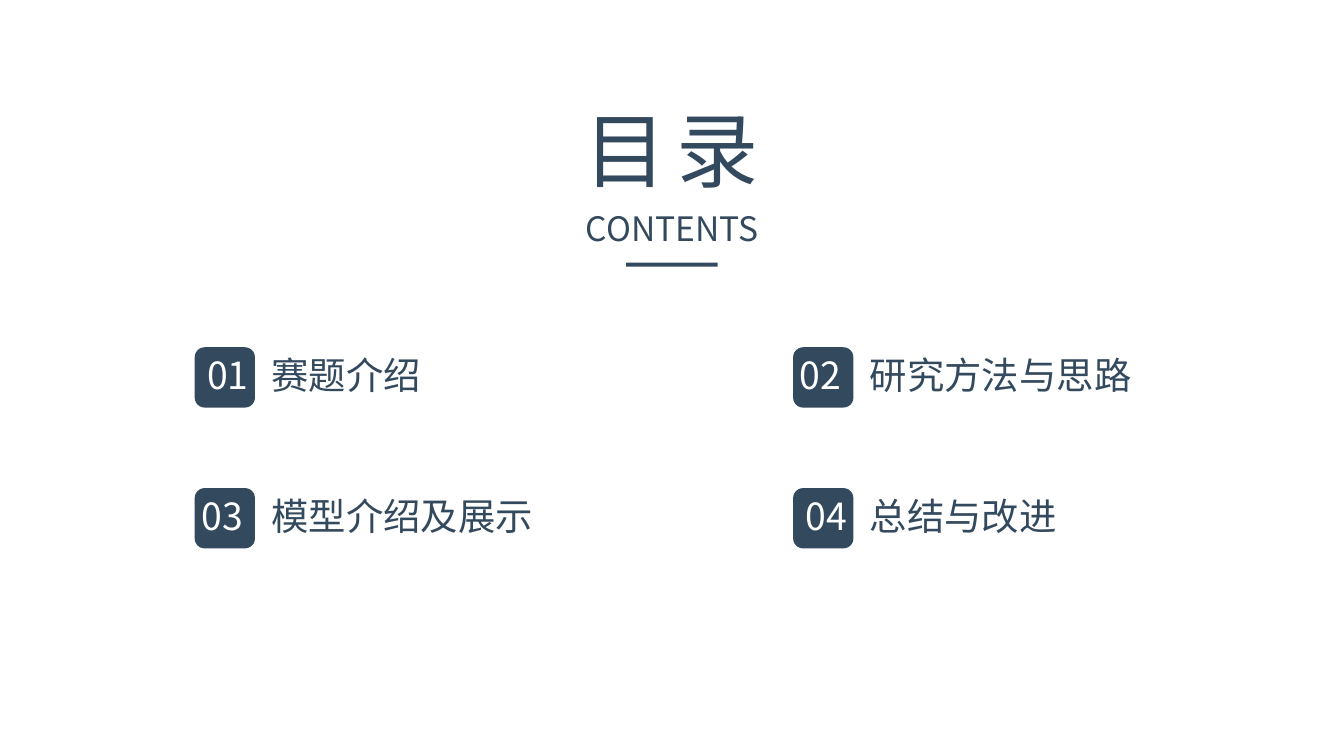
import dataclasses

import pptx
import pptx.dml.color
import pptx.enum.shapes
import pptx.enum.text
import pptx.oxml
import pptx.oxml.ns
import pptx.util

Cm = pptx.util.Cm
Pt = pptx.util.Pt
Align = pptx.enum.text.PP_ALIGN
Anchor = pptx.enum.text.MSO_ANCHOR
Preset = pptx.enum.shapes.MSO_SHAPE


@dataclasses.dataclass(frozen=True)
class Theme:
    font: str = "Noto Sans CJK SC"
    navy: str = "33495E"
    white: str = "FFFFFF"
    title_size: int = 44
    subtitle_size: int = 18
    item_size: int = 20
    line_spacing: float = 0.9
    title_tracking: float = -2.2


@dataclasses.dataclass(frozen=True)
class Box:
    """A rectangle measured in centimetres."""
    left: float
    top: float
    width: float
    height: float

    def emu(self):
        return Cm(self.left), Cm(self.top), Cm(self.width), Cm(self.height)


THEME = Theme()
TILE = 1.14
ITEMS = [
    ("01", "赛题介绍", Align.CENTER),
    ("02", "研究方法与思路", Align.LEFT),
    ("03", "模型介绍及展示", Align.LEFT),
    ("04", "总结与改进", Align.CENTER),
]


def rgb(value):
    return pptx.dml.color.RGBColor.from_string(value)


def write(shape, text, size, color, align=Align.LEFT, anchor=Anchor.MIDDLE, tracking=0):
    frame = shape.text_frame
    frame.auto_size = pptx.enum.text.MSO_AUTO_SIZE.NONE
    frame.word_wrap = True
    frame.vertical_anchor = anchor
    paragraph = frame.paragraphs[0]
    paragraph.alignment = align
    paragraph.line_spacing = THEME.line_spacing
    paragraph.space_before = Pt(0)
    run = paragraph.add_run()
    run.text = text
    run.font.size = Pt(size)
    run.font.color.rgb = rgb(color)
    run.font.name = THEME.font
    properties = run.font._element
    east_asian = pptx.oxml.parse_xml(
        f'<a:ea {pptx.oxml.ns.nsdecls("a")} typeface="{THEME.font}"/>')
    properties.find(pptx.oxml.ns.qn("a:latin")).addnext(east_asian)
    if tracking:
        properties.set("spc", str(round(tracking * 100)))


def add_text(slide, box, *content, **options):
    write(slide.shapes.add_textbox(*box.emu()), *content, **options)


def add_block(slide, preset, box):
    shape = slide.shapes.add_shape(preset, *box.emu())
    shape.shadow.inherit = False
    shape.fill.solid()
    shape.fill.fore_color.rgb = rgb(THEME.navy)
    shape.line.fill.background()


def add_heading(slide, box):
    """Title, subtitle and short rule, centred in the box."""
    def centred(top, width, height):
        return Box(box.left + (box.width - width) / 2, box.top + top, width, height)

    title = slide.shapes.title
    title.left, title.top, title.width, title.height = centred(0, 5.13, 2.13).emu()
    write(title, "目 录", THEME.title_size, THEME.navy, Align.CENTER,
          Anchor.TOP, THEME.title_tracking)
    add_text(slide, centred(1.88, 4.65, 1.02), "CONTENTS",
             THEME.subtitle_size, THEME.navy, align=Align.CENTER)
    add_block(slide, Preset.RECTANGLE, centred(3, 1.73, 0.08))


def add_item(slide, box, number, label, number_align):
    """A numbered tile with its label to the right."""
    overhang = 0.12
    add_block(slide, Preset.ROUNDED_RECTANGLE, Box(box.left, box.top, TILE, TILE))
    add_text(slide, Box(box.left - overhang, box.top, TILE + 3 * overhang, TILE),
             number, THEME.item_size, THEME.white, align=number_align)
    label_offset = 1.2
    add_text(slide, Box(box.left + label_offset, box.top, box.width - label_offset, TILE),
             label, THEME.item_size, THEME.navy)


def add_contents(slide, box):
    """The items in a grid of two columns, filled row by row."""
    column_pitch, row_pitch = 11.31, box.height - TILE
    for index, item in enumerate(ITEMS):
        row, column = divmod(index, 2)
        cell = Box(box.left + column * column_pitch, box.top + row * row_pitch,
                   box.width - column_pitch, TILE)
        add_item(slide, cell, *item)


def main():
    presentation = pptx.Presentation()
    presentation.slide_width = Cm(25.4)
    presentation.slide_height = Cm(14.28)
    slide = presentation.slides.add_slide(presentation.slide_layouts.get_by_name("Title Only"))
    slide.background.fill.solid()
    slide.background.fill.fore_color.rgb = rgb(THEME.white)
    add_heading(slide, Box(0, 1.96, 25.4, 3.08))
    add_contents(slide, Box(3.68, 6.56, 20, 3.8))
    presentation.save("out.pptx")


if __name__ == "__main__":
    main()
